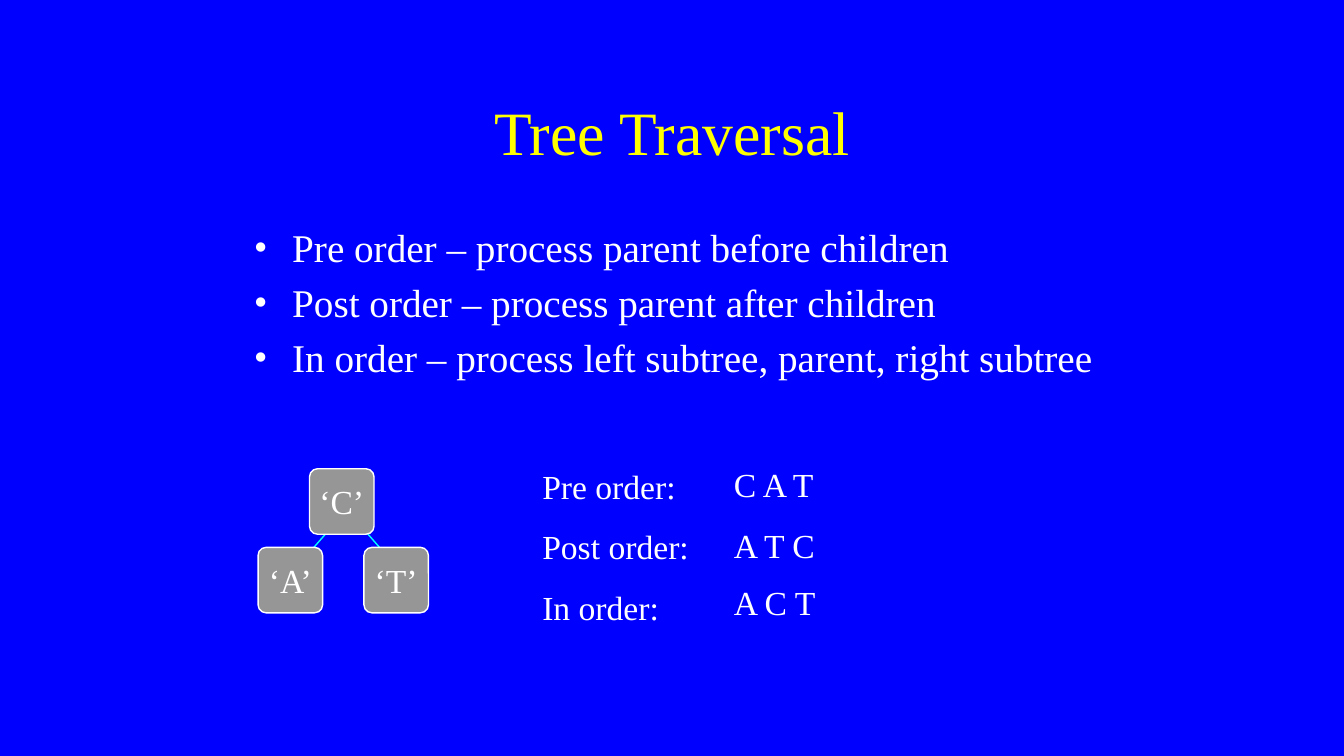
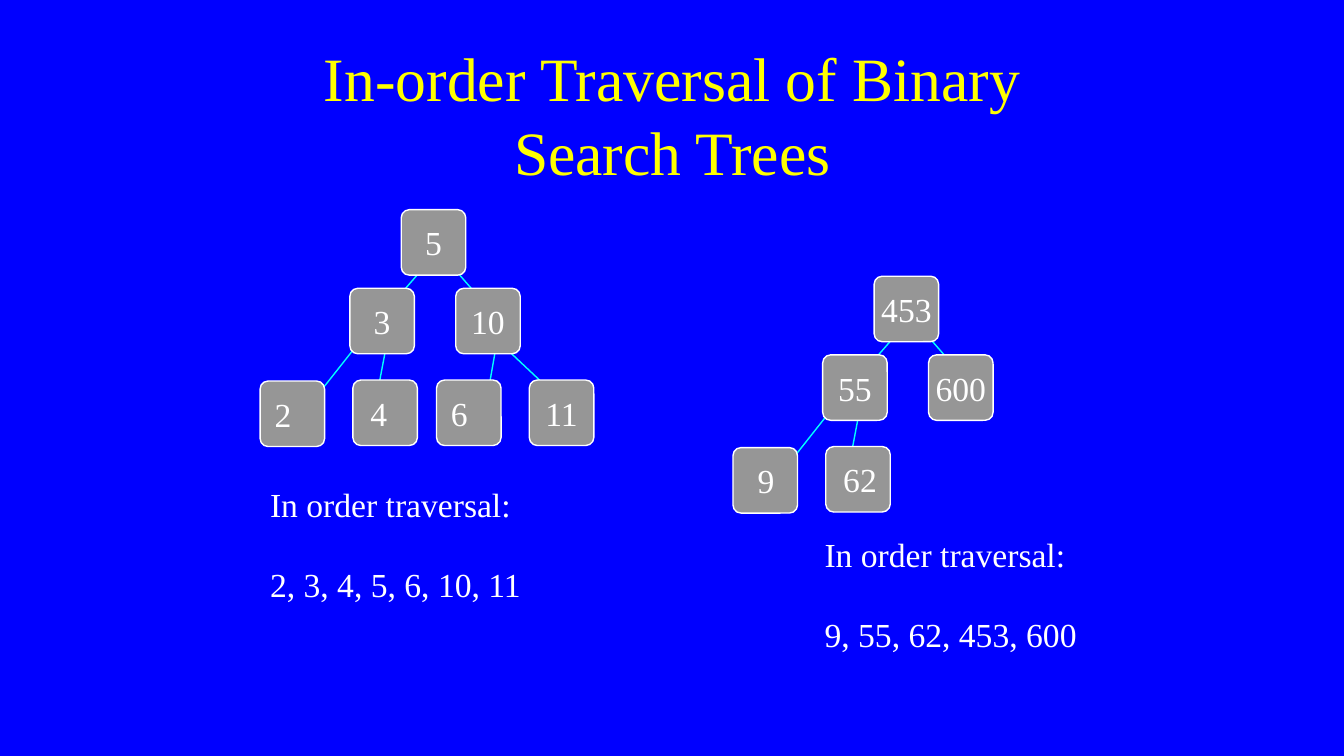
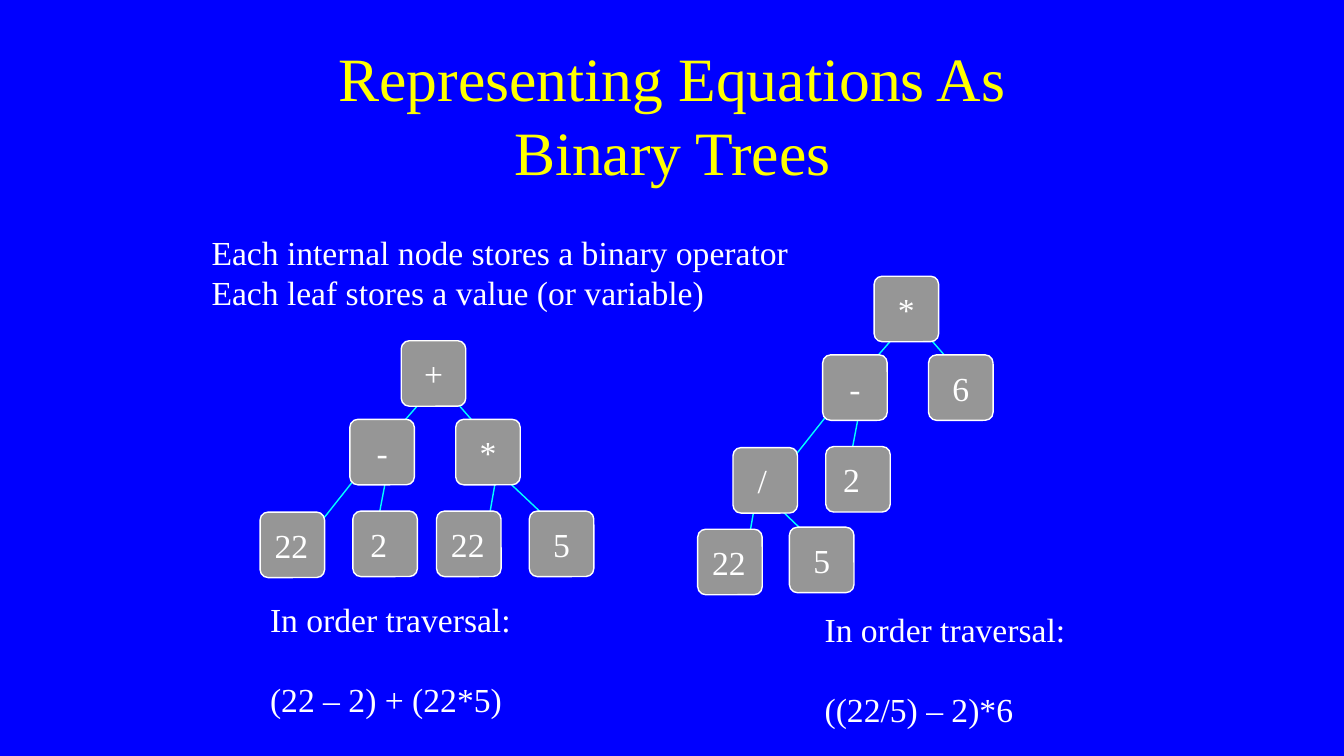
from dataclasses import dataclass

from lxml import etree
from pptx import Presentation
from pptx.dml.color import RGBColor
from pptx.enum.shapes import MSO_CONNECTOR, MSO_SHAPE
from pptx.enum.text import MSO_ANCHOR, PP_ALIGN
from pptx.oxml.ns import qn
from pptx.util import Inches, Pt

LINE = MSO_CONNECTOR.STRAIGHT
ROUND = MSO_SHAPE.ROUNDED_RECTANGLE
TOP, MIDDLE = MSO_ANCHOR.TOP, MSO_ANCHOR.MIDDLE
LEFT, CENTER = PP_ALIGN.LEFT, PP_ALIGN.CENTER


@dataclass(frozen=True)
class Theme:
    font: str = "Times New Roman"
    back: RGBColor = RGBColor(0, 0, 255)
    title: RGBColor = RGBColor(255, 255, 0)
    text: RGBColor = RGBColor(255, 255, 255)
    node: RGBColor = RGBColor(150, 150, 150)
    edge: RGBColor = RGBColor(0, 255, 255)
    head: int = 44
    body: int = 28
    note: int = 24
    rule: int = 1


THEME = Theme()
NODE = (0.64, 0.65)
TITLE = (2.42, 0.5, 8.5, 1.25)

SLOTS = {
    "root": (0, 0),
    "L": (-0.51, 0.78),
    "R": (0.54, 0.78),
    "LL": (-1.4, 1.7),
    "LR": (-0.48, 1.69),
    "RL": (0.35, 1.69),
    "RR": (1.27, 1.69),
    "LLL": (-1.75, 2.51),
    "LLR": (-0.84, 2.49),
}
EDGES = {
    "L": (0.54, 0.21, -0.07, 0.91),
    "R": (0.38, 0.42, 0.99, 1.12),
    "LL": (-0.46, 1.37, -0.91, 1.94),
    "LR": (-0.15, 1.36, -0.26, 1.94),
    "RL": (0.94, 1.36, 0.84, 1.93),
    "RR": (1.02, 1.36, 1.7, 2),
    "LLL": (-1.17, 2.19, -1.27, 2.76),
    "LLR": (-1.09, 2.16, -0.41, 2.81),
}
FULL = {"LL": 0.12, "LR": 0.15, "RL": 0.12}
DEEP = {"LL": 0.22, "LR": 0.15, "LLL": 0.12}


def style(item, **values):
    for name, value in values.items():
        setattr(item, name, value)


def write(frame, lines, size=THEME.note, color=THEME.text, wrap=False,
          anchor=TOP, **para):
    style(frame, word_wrap=wrap, vertical_anchor=anchor)
    for i, line in enumerate(lines):
        p = frame.add_paragraph() if i else frame.paragraphs[0]
        style(p, **para)
        run = p.add_run()
        run.text = line
        style(run.font, name=THEME.font, size=Pt(size))
        run.font.color.rgb = color
    return frame.paragraphs


def note(slide, box, lines, **form):
    area = slide.shapes.add_textbox(*map(Inches, box))
    return write(area.text_frame, lines, **form)


def title(slide, text, box=TITLE):
    note(slide, box, [text], size=THEME.head, color=THEME.title,
         wrap=True, anchor=MIDDLE, alignment=CENTER)


def bullets(slide, box, lines):
    gap = Pt(THEME.body * 0.2)
    for p in note(slide, box, lines, size=THEME.body, wrap=True,
                  space_before=gap):
        props = p._p.get_or_add_pPr()
        props.set("marL", str(Inches(0.38)))
        props.set("indent", str(-Inches(0.38)))
        etree.SubElement(props, qn("a:buFont")).set("typeface", THEME.font)
        etree.SubElement(props, qn("a:buChar")).set("char", "•")


def caption(slide, box, order):
    paras = note(slide, box, ["In order traversal:", order])
    paras[1].space_before = Pt(28.5)


def edge(slide, x, y, ends):
    x1, y1, x2, y2 = ends
    line = slide.shapes.add_connector(
        LINE, *map(Inches, (x + x1, y + y1, x + x2, y + y2)))
    line.line.color.rgb = THEME.edge
    line.line.width = Pt(THEME.rule)
    etree.SubElement(line._element.spPr, qn("a:effectLst"))


def node(slide, x, y, text, pad):
    box = slide.shapes.add_shape(ROUND, *map(Inches, (x, y, *NODE)))
    box.shadow.inherit = False
    box.adjustments[0] = 0.125
    box.fill.solid()
    box.fill.fore_color.rgb = THEME.node
    box.line.color.rgb = THEME.text
    box.line.width = Pt(THEME.rule)
    style(box.text_frame, margin_left=Inches(pad or 0), margin_right=0)
    write(box.text_frame, [text], wrap=True, anchor=MIDDLE,
          alignment=LEFT if pad else CENTER)


def tree(slide, x, y, labels, pads):
    for slot in labels:
        if slot in EDGES:
            edge(slide, x, y, EDGES[slot])
    for slot, text in labels.items():
        dx, dy = SLOTS[slot]
        node(slide, x + dx, y + dy, text, pads.get(slot))


def orders(slide):
    title(slide, "Tree Traversal", (1, 0.67, 11.33, 1.25))
    bullets(slide, (2.42, 2.17, 8.83, 4.5), [
        "Pre order – process parent before children",
        "Post order – process parent after children",
        "In order – process left subtree, parent, right subtree",
    ])
    tree(slide, 3.07, 4.65, {"root": "‘C’", "L": "‘A’", "R": "‘T’"}, {})
    note(slide, (5.28, 4.37, 1.75, 1.85),
         ["Pre order:", "Post order:", "In order:"], line_spacing=1.5)
    for top, text in ((4.55, "C A T"), (5.16, "A T C"), (5.72, "A C T")):
        note(slide, (7.18, top, 1.1, 0.5), [text], alignment=LEFT)


def search(slide):
    title(slide, "In-order Traversal of Binary Search Trees")
    tree(slide, 3.98, 2.08, {
        "root": "5", "L": "3", "R": "10",
        "LL": "2", "LR": "4", "RL": "6", "RR": "11",
    }, FULL)
    caption(slide, (2.58, 4.75, 2.71, 2.12), "2, 3, 4, 5, 6, 10, 11")
    tree(slide, 8.67, 2.74, {
        "root": "453", "L": "55", "R": "600", "LL": "9", "LR": "62",
    }, DEEP)
    caption(slide, (8.08, 5.25, 2.73, 2.12), "9, 55, 62, 453, 600")


def sums(slide):
    title(slide, "Representing Equations As Binary Trees")
    note(slide, (2, 2.25, 5.97, 0.91), [
        "Each internal node stores a binary operator",
        "Each leaf stores a value (or variable)",
    ])
    tree(slide, 3.98, 3.38, {
        "root": "+", "L": "-", "R": "*",
        "LL": "22", "LR": "2", "RL": "22", "RR": "5",
    }, FULL)
    caption(slide, (2.58, 5.89, 2.61, 2.12), "(22 – 2) + (22*5)")
    tree(slide, 8.67, 2.74, {
        "root": "*", "L": "-", "R": "6",
        "LL": "/", "LR": "2", "LLL": "22", "LLR": "5",
    }, DEEP)
    caption(slide, (8.08, 5.99, 2.61, 2.12), "((22/5) – 2)*6")


def main():
    deck = Presentation()
    style(deck, slide_width=Inches(13.33), slide_height=Inches(7.5))
    fill = deck.slide_master.background.fill
    fill.solid()
    fill.fore_color.rgb = THEME.back
    for build in (orders, search, sums):
        build(deck.slides.add_slide(deck.slide_layouts[6]))
    deck.save("out.pptx")


if __name__ == "__main__":
    main()
